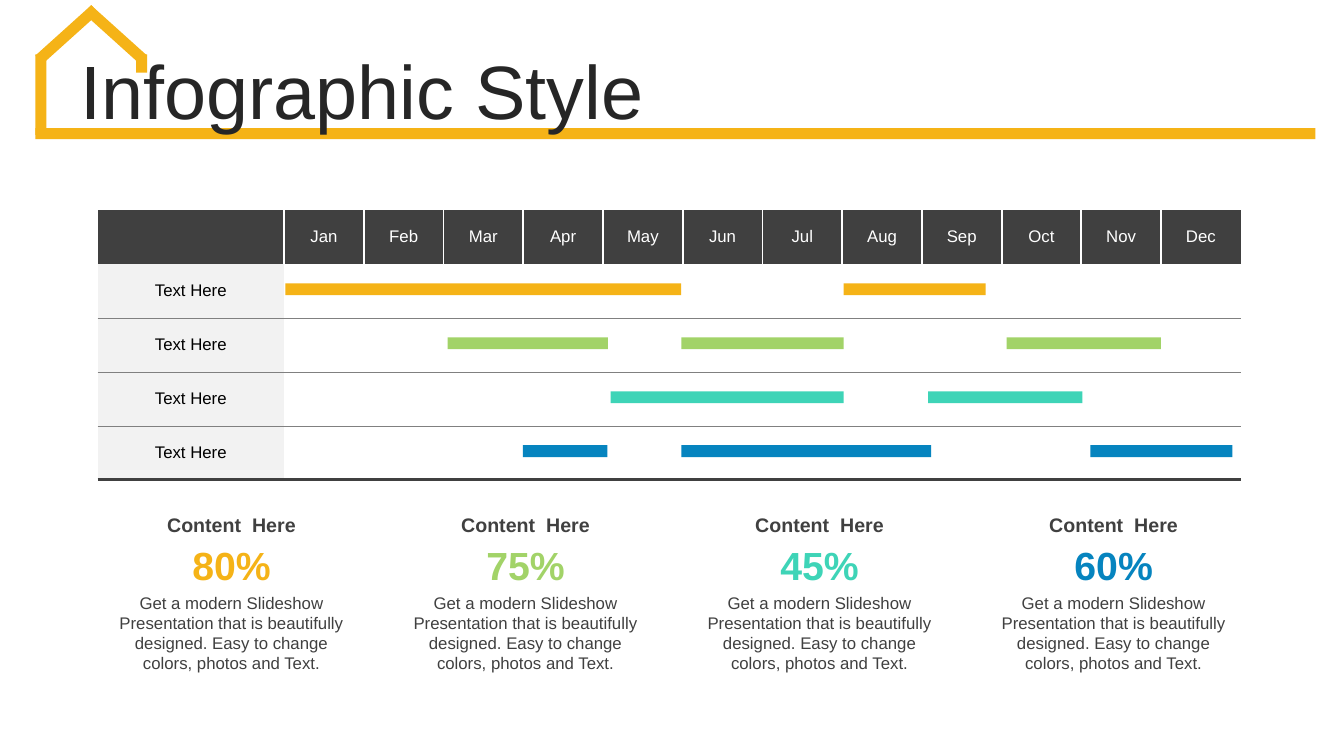
from dataclasses import dataclass

from lxml import etree
from pptx import Presentation
from pptx.dml.color import RGBColor
from pptx.enum.shapes import MSO_SHAPE
from pptx.enum.text import MSO_ANCHOR, MSO_AUTO_SIZE, PP_ALIGN
from pptx.oxml.ns import qn
from pptx.util import Cm, Pt

RECT = MSO_SHAPE.RECTANGLE
LEFT, CENTER = PP_ALIGN.LEFT, PP_ALIGN.CENTER
TOP, MIDDLE = MSO_ANCHOR.TOP, MSO_ANCHOR.MIDDLE
NO_AUTOFIT, GROW = MSO_AUTO_SIZE.NONE, MSO_AUTO_SIZE.SHAPE_TO_FIT_TEXT

FONT = "Arial"
COLORS = {
    "amber": "F5B317", "green": "A2D368", "teal": "3ED4B7", "blue": "0684BF",
    "title": "262626", "dark": "404040", "grey": "808080", "label": "F2F2F2",
    "white": "FFFFFF", "black": "000000",
}
NO_STYLE_NO_GRID = "{2D5ABB26-0587-4C30-8999-92F81FD0307C}"
MONTHS = "Jan Feb Mar Apr May Jun Jul Aug Sep Oct Nov Dec".split()
BODY = ("Get a modern Slideshow Presentation that is beautifully designed. "
        "Easy to change colors, photos and Text.")

# Lengths in centimetres
TABLE_LEFT, TABLE_TOP = 2.46, 5.29
LABEL_W, MONTH_W, ROW_H = 4.7, 2.01, 1.36
BAR_OFFSET, BAR_H = 0.49, 0.3
STROKE = 0.28
BLOCK_LEFT, BLOCK_PITCH, BLOCK_W = 2.51, 7.41, 6.65


@dataclass
class Stroke:
    left: float
    top: float
    width: float
    height: float
    rotation: float = 0


@dataclass
class Track:
    color: str
    percent: str
    bars: list[tuple[float, float]]  # left, width


HOUSE = [
    Stroke(0.89, 3.23, 32.26, STROKE),
    Stroke(0.89, 1.37, STROKE, 2.03),
    Stroke(3.43, 1.37, STROKE, 0.46),
    Stroke(1.55, -0.08, STROKE, 1.9, 48),
    Stroke(2.77, -0.08, STROKE, 1.9, 312),
]
TRACKS = [
    Track("amber", "80%", [(7.19, 9.98), (21.26, 3.58)]),
    Track("green", "75%", [(11.28, 4.04), (17.17, 4.09), (25.37, 3.89)]),
    Track("teal", "45%", [(15.39, 5.87), (23.39, 3.89)]),
    Track("blue", "60%", [(13.18, 2.13), (17.17, 6.3), (27.48, 3.58)]),
]


def rgb(name: str) -> RGBColor:
    return RGBColor.from_string(COLORS[name])


def write(tf, text: str, *, size: float, color: str, bold: bool = False,
          align=CENTER, spacing: float = 1.0) -> None:
    p = tf.paragraphs[0]
    p.alignment, p.line_spacing = align, spacing
    p.space_before = Pt(0)
    r = p.add_run()
    r.text = text
    r.font.name, r.font.size, r.font.bold = FONT, Pt(size), bold
    r.font.color.rgb = rgb(color)


def add_rect(s, box: Stroke, color: str) -> None:
    sp = s.shapes.add_shape(RECT, Cm(box.left), Cm(box.top), Cm(box.width), Cm(box.height))
    sp.rotation = box.rotation
    sp.shadow.inherit = False
    sp.fill.solid()
    sp.fill.fore_color.rgb = rgb(color)
    sp.line.fill.background()


def add_text(s, left: float, top: float, height: float, text: str, *,
             anchor=MIDDLE, **style) -> None:
    tf = s.shapes.add_textbox(Cm(left), Cm(top), Cm(BLOCK_W), Cm(height)).text_frame
    tf.word_wrap, tf.auto_size, tf.vertical_anchor = True, GROW, anchor
    write(tf, text, **style)


def add_border(cell, side: str, color: str, width: float) -> None:
    ln = etree.SubElement(cell._tc.get_or_add_tcPr(), qn(f"a:ln{side}"), w=str(Pt(width)))
    fill = etree.SubElement(ln, qn("a:solidFill"))
    etree.SubElement(fill, qn("a:srgbClr"), val=COLORS[color])


def format_cell(cell, row: int, col: int) -> None:
    # Borders come before the fill in the cell properties
    if row == 0:
        if col > 0:
            add_border(cell, "L", "white", 1.5)
        if col < len(MONTHS):
            add_border(cell, "R", "white", 1.5)
    else:
        if row > 1:
            add_border(cell, "T", "grey", 0.25)
        if row < len(TRACKS):
            add_border(cell, "B", "grey", 0.25)
        else:
            add_border(cell, "B", "dark", 2.25)
    cell.fill.solid()
    cell.fill.fore_color.rgb = rgb("dark" if row == 0 else "white" if col else "label")
    cell.vertical_anchor = MIDDLE
    if row == 0 and col > 0:
        write(cell.text_frame, MONTHS[col - 1], size=12, color="white")
    elif row > 0 and col == 0:
        write(cell.text_frame, "Text Here", size=12, color="black")


def add_schedule(s) -> None:
    rows, cols = len(TRACKS) + 1, len(MONTHS) + 1
    table = s.shapes.add_table(rows, cols, Cm(TABLE_LEFT), Cm(TABLE_TOP),
                               Cm(LABEL_W + MONTH_W * len(MONTHS)), Cm(ROW_H * rows)).table
    table.horz_banding = False
    table._tbl.tblPr.find(qn("a:tableStyleId")).text = NO_STYLE_NO_GRID
    for col in range(cols):
        table.columns[col].width = Cm(MONTH_W if col else LABEL_W)
    for row in range(rows):
        table.rows[row].height = Cm(ROW_H)
        for col in range(cols):
            format_cell(table.cell(row, col), row, col)


def main() -> None:
    prs = Presentation()
    prs.slide_width, prs.slide_height = Cm(33.87), Cm(19.05)
    s = prs.slides.add_slide(prs.slide_layouts[5])

    # House outline, with the title in front of it
    for stroke in HOUSE:
        add_rect(s, stroke, "amber")
    title = s.shapes.title
    title.left, title.top, title.width, title.height = Cm(1.78), Cm(1.4), Cm(31.27), Cm(2.01)
    tf = title.text_frame
    tf.word_wrap, tf.auto_size, tf.vertical_anchor = True, NO_AUTOFIT, MIDDLE
    write(tf, "Infographic Style", size=54, color="title", align=LEFT, spacing=0.9)
    title.element.getparent().append(title.element)

    # Schedule and its bars
    add_schedule(s)
    for i, track in enumerate(TRACKS):
        top = TABLE_TOP + ROW_H * (i + 1) + BAR_OFFSET
        for left, width in track.bars:
            add_rect(s, Stroke(left, top, width, BAR_H), track.color)

    # Summary blocks
    for i, track in enumerate(TRACKS):
        left = BLOCK_LEFT + BLOCK_PITCH * i
        add_text(s, left, 12.78, 0.86, "Content  Here", size=14, color="dark", bold=True)
        add_text(s, left, 13.51, 1.45, track.percent, size=28, color=track.color, bold=True)
        add_text(s, left, 14.81, 2.31, BODY, anchor=TOP, size=12, color="dark")

    prs.save("out.pptx")


if __name__ == "__main__":
    main()
